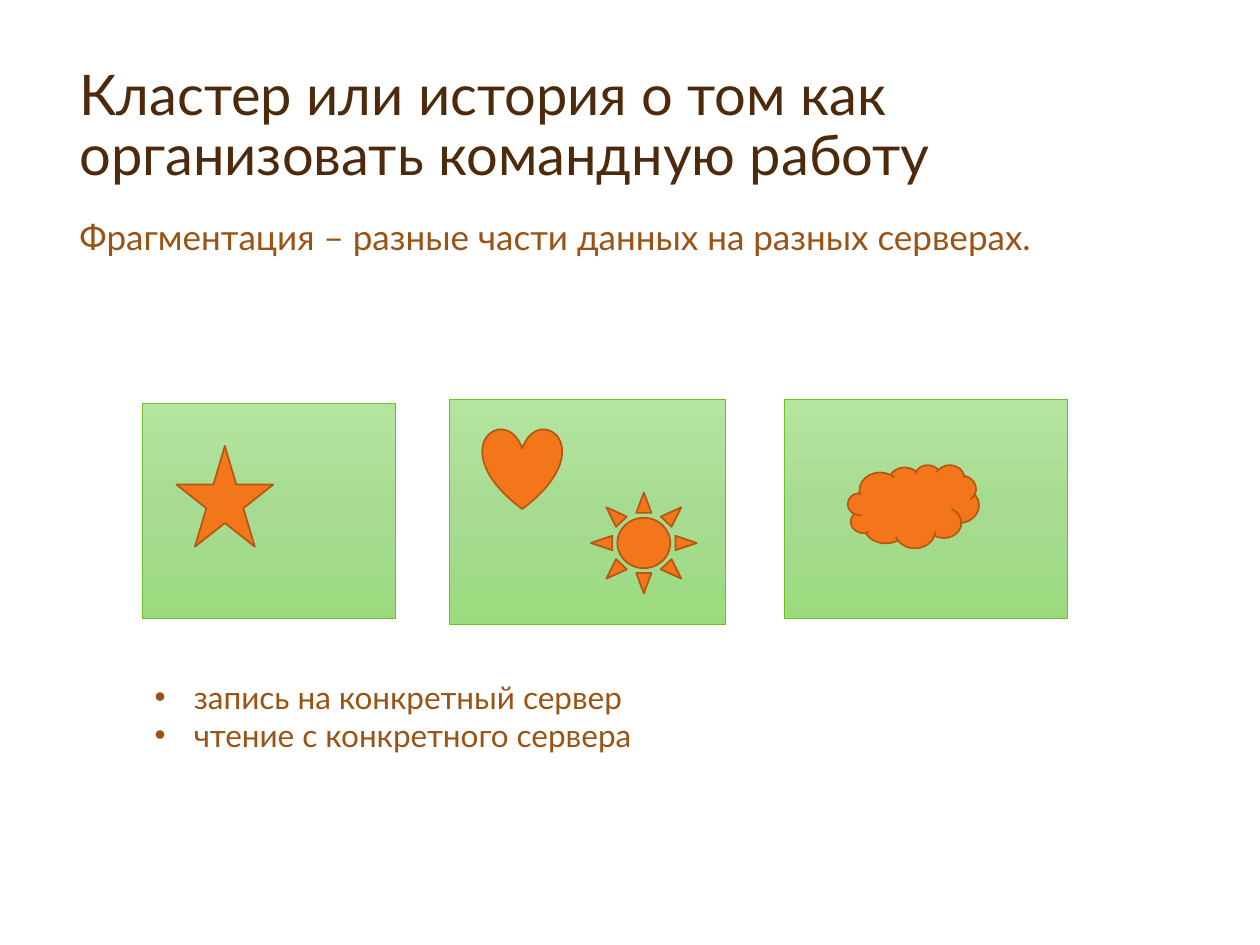
from lxml import etree
from pptx import Presentation
from pptx import util as u
from pptx.dml.color import RGBColor
from pptx.enum import shapes, text
from pptx.oxml.ns import qn

FORM = shapes.MSO_SHAPE
BROWN = "9A5315"
GREEN = [(0, "B4E59F"), (50, "A8DB92"), (100, "9BDB7E")]


def color(code):
    return RGBColor.from_string(code)


def place(shape, box):
    shape.left, shape.top, shape.width, shape.height = map(u.Inches, box)


def style(para, size, code):
    for run in para.runs:
        run.font.name = "Lato"
        run.font.size = u.Pt(size)
        run.font.color.rgb = color(code)


def bullet(para, mark=None, indent=0):
    props = para._p.get_or_add_pPr()
    props.set("marL", str(u.Inches(indent)))
    props.set("indent", str(-u.Inches(indent)))
    if mark:
        font = etree.SubElement(props, qn("a:buFont"))
        font.set("typeface", "Arial")
        etree.SubElement(props, qn("a:buChar")).set("char", mark)
    else:
        etree.SubElement(props, qn("a:buNone"))


def title(slide, box, words):
    shape = slide.shapes.title
    place(shape, box)
    frame = shape.text_frame
    frame.text = words
    frame.word_wrap = True
    frame.auto_size = text.MSO_AUTO_SIZE.NONE
    frame.vertical_anchor = text.MSO_ANCHOR.BOTTOM
    para = frame.paragraphs[0]
    para.alignment = text.PP_ALIGN.LEFT
    para.line_spacing = 0.9
    style(para, 32, "4D2A0B")


def body(slide, box, words):
    shape = slide.placeholders[1]
    place(shape, box)
    frame = shape.text_frame
    frame.text = words
    frame.auto_size = text.MSO_AUTO_SIZE.NONE
    para = frame.paragraphs[0]
    para.space_before = u.Pt(18)
    bullet(para)
    style(para, 20, BROWN)


def figure(slide, form, box, line, width):
    shape = slide.shapes.add_shape(form, *map(u.Inches, box))
    shape.shadow.inherit = False
    shape.line.color.rgb = color(line)
    shape.line.width = u.Pt(width)
    return shape


def shade(shape, stops):
    shape.fill.gradient()
    shape.fill.gradient_angle = 270
    group = shape._element.spPr.find(qn("a:gradFill")).find(qn("a:gsLst"))
    for old in list(group):
        group.remove(old)
    for spot, code in stops:
        stop = etree.SubElement(group, qn("a:gs"))
        stop.set("pos", str(spot * 1000))
        etree.SubElement(stop, qn("a:srgbClr")).set("val", code)


def server(slide, box, parts):
    left, top = box[:2]
    shade(figure(slide, FORM.RECTANGLE, box, "6DC025", 0.5), GREEN)
    for form, (x, y, wide, high) in parts:
        part = figure(slide, form, (left + x, top + y, wide, high), "B45813", 1)
        part.fill.solid()
        part.fill.fore_color.rgb = color("F3771A")


def notes(slide, box, items):
    frame = slide.shapes.add_textbox(*map(u.Inches, box)).text_frame
    frame.word_wrap = True
    frame.auto_size = text.MSO_AUTO_SIZE.SHAPE_TO_FIT_TEXT
    frame.text = "\n".join(items)
    for para in frame.paragraphs:
        bullet(para, "•", 0.31)
        style(para, 18, BROWN)


def main():
    deck = Presentation()
    deck.slide_width, deck.slide_height = u.Inches(10), u.Inches(7.5)
    slide = deck.slides.add_slide(deck.slide_layouts[1])
    title(slide, (0.53, 0.37, 8.76, 1.17),
          "Кластер или история о том как организовать командную работу")
    body(slide, (0.53, 1.66, 8.78, 4.84),
         "Фрагментация – разные части данных на разных серверах.")
    server(slide, (1.13, 3.2, 2.01, 1.71),
           [(FORM.STAR_5_POINT, (0.27, 0.34, 0.77, 0.8))])
    server(slide, (3.57, 3.17, 2.19, 1.79),
           [(FORM.HEART, (0.26, 0.23, 0.63, 0.64)),
            (FORM.SUN, (1.12, 0.74, 0.84, 0.8))])
    server(slide, (6.23, 3.17, 2.24, 1.74),
           [(FORM.CLOUD, (0.5, 0.52, 1.04, 0.66))])
    notes(slide, (1.13, 5.33, 7.34, 0.71),
          ["запись на конкретный сервер", "чтение с конкретного сервера"])
    deck.save("out.pptx")


if __name__ == "__main__":
    main()
